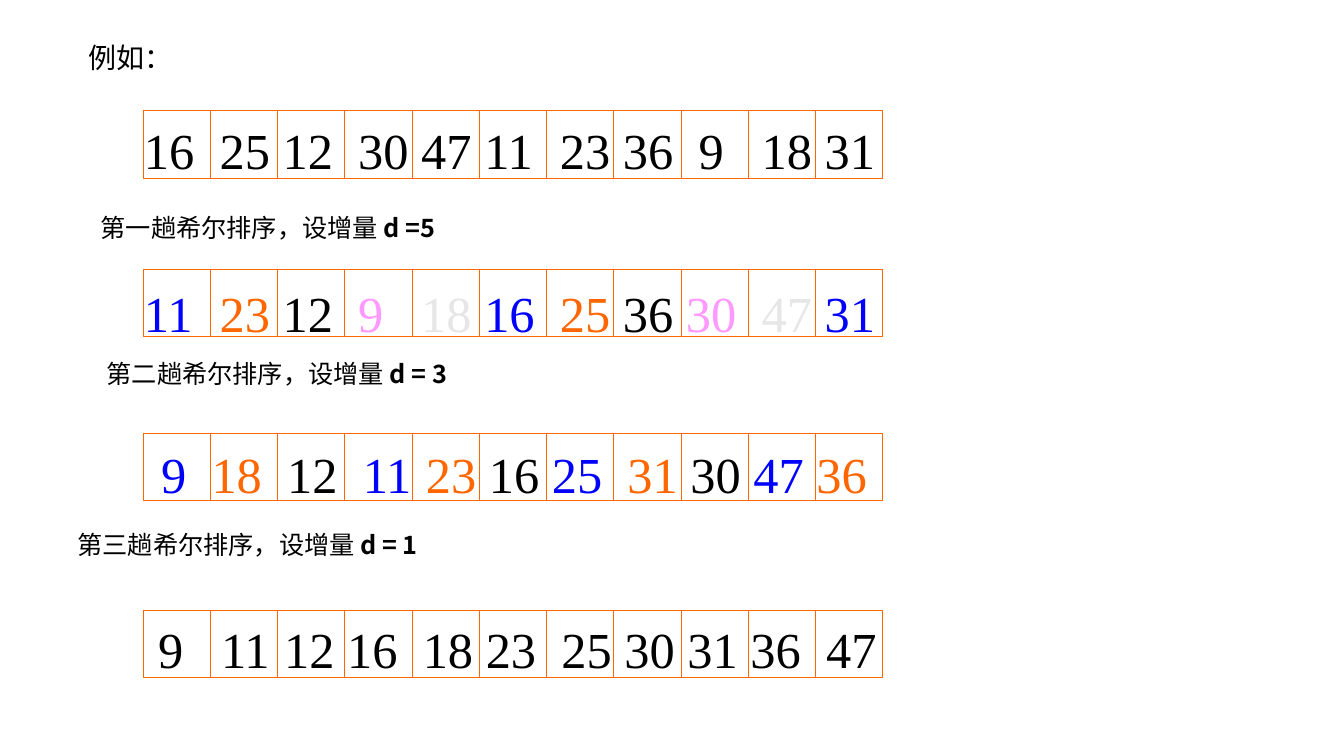
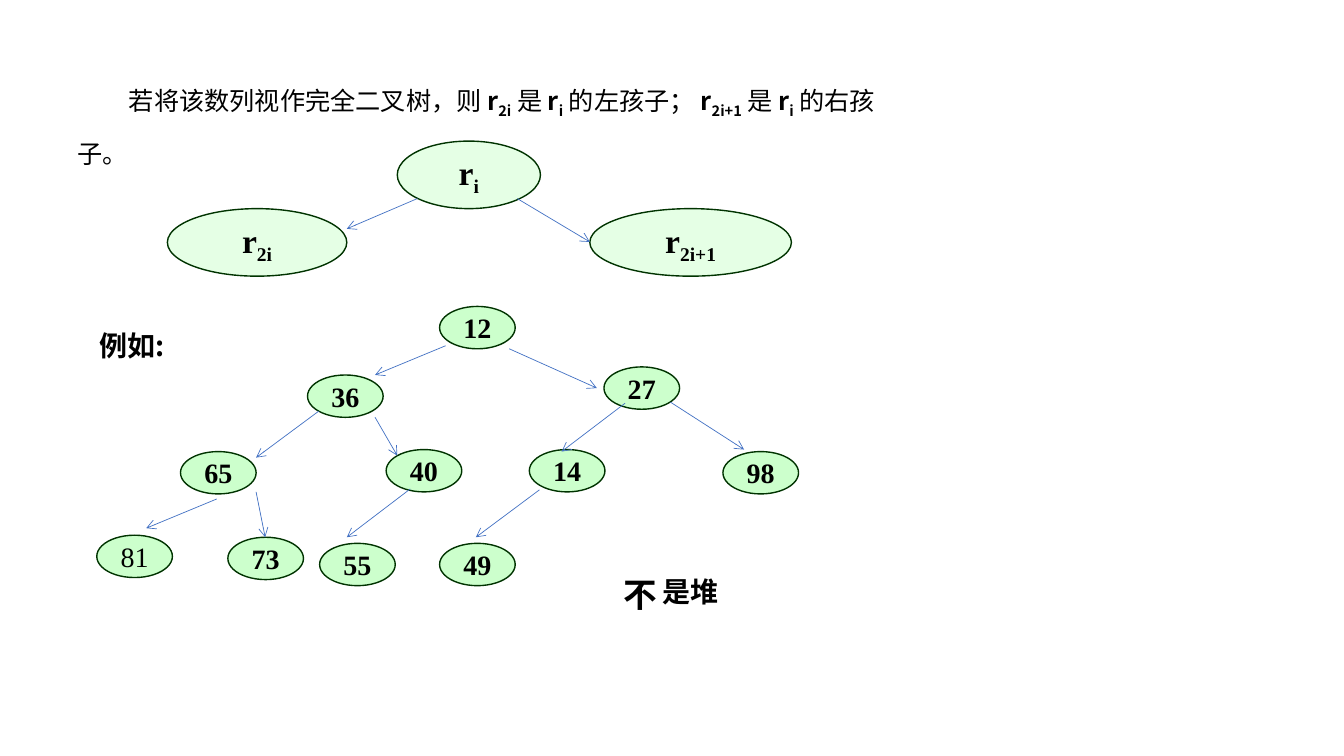
"""Build two slides: Shell sort passes and a heap check on a binary tree."""
import pptx
import pptx.util
import pptx.dml.color
import pptx.enum.shapes
import pptx.enum.text
import pptx.oxml.ns
from lxml import etree

Inches = pptx.util.Inches
Pt = pptx.util.Pt
SHAPE = pptx.enum.shapes.MSO_SHAPE
TEXT = pptx.enum.text
qn = pptx.oxml.ns.qn

SANS, SERIF = "Noto Sans CJK SC", "Times New Roman"
COLORS = {
    "black": "000000", "blue": "0000FF", "orange": "FF6600",
    "pink": "FF99FF", "gray": "E7E6E6", "mint": "CCFFCC",
    "green": "003300", "arrow": "4472C4",
}
INK = {"k": "black", "b": "blue", "o": "orange", "p": "pink", "g": "gray"}

CELL, LEFT = 0.667, 1.42
DIGIT, SPACE = 0.25, 0.125
ROWS = [
    {"top": 1.1, "text": (1.43, 1.13), "gaps": "2121121231", "ink": "k" * 11,
     "nums": [16, 25, 12, 30, 47, 11, 23, 36, 9, 18, 31]},
    {"top": 2.67, "text": (1.43, 2.75), "gaps": "2123121121", "ink": "bokpgbokpgb",
     "nums": [11, 23, 12, 9, 18, 16, 25, 36, 30, 47, 31]},
    {"top": 4.3, "text": (1.6, 4.35), "gaps": "2221112111", "ink": "bokbokbokbo",
     "nums": [9, 18, 12, 11, 23, 16, 25, 31, 30, 47, 36]},
    {"top": 6.06, "text": (1.57, 6.08), "gaps": "3112121112", "ink": "k" * 11,
     "nums": [9, 11, 12, 16, 18, 23, 25, 30, 31, 36, 47]},
]
STEPS = [
    (0.9, 2.06, "第一趟希尔排序，设增量 ", "d =5"),
    (0.96, 3.51, "第二趟希尔排序，设增量 ", "d = 3"),
    (0.67, 5.2, "第三趟希尔排序，设增量 ", "d = 1"),
]

RULE = [
    ("若将该数列视作完全二叉树，则 ", ""), ("r", "b"), ("2i", "bs"),
    (" 是 ", ""), ("r", "b"), ("i", "bs"), (" 的左孩子； ", ""),
    ("r", "b"), ("2i+1", "bs"), (" 是 ", ""), ("r", "b"), ("i", "bs"),
    (" 的右孩子。", ""),
]
FAMILY = [
    ("i", 3.94, 1.4, 1.42), ("2i", 1.66, 2.07, 1.78), ("2i+1", 5.85, 2.07, 2),
]
TREE = [
    (12, 4.36, 3.04), (36, 3.05, 3.72), (27, 5.99, 3.64), (65, 1.79, 4.48),
    (40, 3.83, 4.46), (14, 5.25, 4.46), (98, 7.17, 4.48), (81, 0.96, 5.31),
    (73, 2.26, 5.33), (55, 3.17, 5.39), (49, 4.36, 5.39),
]
PLAIN = {81}
ARROWS = [
    (4.14, 1.97, 3.44, 2.27), (5.13, 1.97, 5.85, 2.4),
    (4.42, 3.43, 3.72, 3.72), (5.05, 3.46, 5.92, 3.85),
    (3.16, 4.08, 2.54, 4.54), (3.72, 4.14, 3.94, 4.52),
    (6.2, 4, 5.57, 4.48), (6.65, 3.99, 7.38, 4.46),
    (2.15, 4.95, 1.45, 5.24), (2.54, 4.88, 2.63, 5.33),
    (4.07, 4.85, 3.44, 5.33), (5.35, 4.86, 4.72, 5.33),
]
NOTES = [
    ("例如:", 0.89, 3.21, 0.84, 20, SANS),
    ("不", 6.09, 5.64, 0.54, 24, SERIF),
    ("是堆", 6.47, 5.65, 0.76, 20, SERIF),
]


def color(name):
    return pptx.dml.color.RGBColor.from_string(COLORS[name])


def add_run(para, text, size, face, style="", ink="black"):
    run = para.add_run()
    run.text = text
    font = run.font
    font.size, font.name, font.bold = Pt(size), face, "b" in style
    font.color.rgb = color(ink)
    props = run._r.get_or_add_rPr()
    etree.SubElement(props, qn("a:ea")).set("typeface", SANS)
    if "s" in style:
        props.set("baseline", "-25000")


def add_text(slide, box, runs, size, face, wrap=False):
    shape = slide.shapes.add_textbox(*map(Inches, box))
    shape.text_frame.word_wrap = wrap
    para = shape.text_frame.paragraphs[0]
    for text, style in runs:
        add_run(para, text, size, face, style)
    return para


def add_line(slide, ends, ink, width, head=False):
    line = slide.shapes.add_connector(
        pptx.enum.shapes.MSO_CONNECTOR.STRAIGHT, *map(Inches, ends))
    line.line.color.rgb = color(ink)
    line.line.width = Pt(width)
    if head:
        etree.SubElement(line.line._ln, qn("a:tailEnd")).set("type", "arrow")
    etree.SubElement(line._element.spPr, qn("a:effectLst"))


def add_node(slide, box, runs, size, alpha=None):
    node = slide.shapes.add_shape(SHAPE.OVAL, *map(Inches, box))
    node.shadow.inherit = False
    node.fill.solid()
    node.fill.fore_color.rgb = color("mint")
    if alpha:
        tint = node._element.spPr.find(".//" + qn("a:srgbClr"))
        etree.SubElement(tint, qn("a:alpha")).set("val", str(alpha * 1000))
    node.line.color.rgb = color("green")
    node.line.width = Pt(1)
    frame = node.text_frame
    frame.word_wrap = False
    frame.vertical_anchor = TEXT.MSO_ANCHOR.MIDDLE
    para = frame.paragraphs[0]
    para.alignment = TEXT.PP_ALIGN.CENTER
    for text, style in runs:
        add_run(para, text, size, SERIF, style)


def add_row(slide, row):
    top, nums = row["top"], row["nums"]
    frame = slide.shapes.add_shape(
        SHAPE.RECTANGLE, Inches(LEFT), Inches(top),
        Inches(CELL * len(nums)), Inches(CELL))
    frame.shadow.inherit = False
    frame.fill.background()
    frame.line.color.rgb = color("orange")
    frame.line.width = Pt(0.75)
    for col in range(1, len(nums)):
        x = LEFT + col * CELL
        add_line(slide, (x, top, x, top + CELL), "orange", 0.75)

    x, y = row["text"]
    para = add_text(slide, (x - 0.1, y, 7.6, 0.65), [], 36, SERIF, True)
    stops = etree.SubElement(para._p.get_or_add_pPr(), qn("a:tabLst"))
    place = 0
    for num, gap in zip(nums, row["gaps"]):
        place += len(str(num)) * DIGIT + int(gap) * SPACE
        stop = etree.SubElement(stops, qn("a:tab"))
        stop.set("pos", str(Inches(place)))
        stop.set("algn", "l")
    for col, (num, ink) in enumerate(zip(nums, row["ink"])):
        add_run(para, ("\t" if col else "") + str(num), 36, SERIF, ink=INK[ink])


def sort_slide(slide):
    add_text(slide, (0.78, 0.35, 1.04, 0.44), [("例如：", "")], 20, SANS)
    for row in ROWS:
        add_row(slide, row)
    for x, y, label, step in STEPS:
        add_text(slide, (x, y, 3.72, 0.4), [(label, ""), (step, "b")], 18, SANS)


def heap_slide(slide):
    para = add_text(slide, (0.67, 0.65, 8.2, 1.05), RULE, 18, SANS, True)
    para.line_spacing = Pt(35)
    para._p.get_or_add_pPr().set("indent", str(Inches(0.51)))
    for sub, x, y, width in FAMILY:
        add_node(slide, (x, y, width, 0.67), [("r", "b"), (sub, "bs")], 24, 50)
    for num, x, y in TREE:
        style = "" if num in PLAIN else "b"
        add_node(slide, (x, y, 0.75, 0.42), [(str(num), style)], 20)
    for ends in ARROWS:
        add_line(slide, ends, "arrow", 0.5, True)
    for text, x, y, width, size, face in NOTES:
        add_text(slide, (x, y, width, 0.44), [(text, "b")], size, face)


def main():
    deck = pptx.Presentation()
    deck.slide_width, deck.slide_height = Inches(13.33), Inches(7.5)
    for build in (sort_slide, heap_slide):
        build(deck.slides.add_slide(deck.slide_layouts[6]))
    deck.save("out.pptx")


if __name__ == "__main__":
    main()
